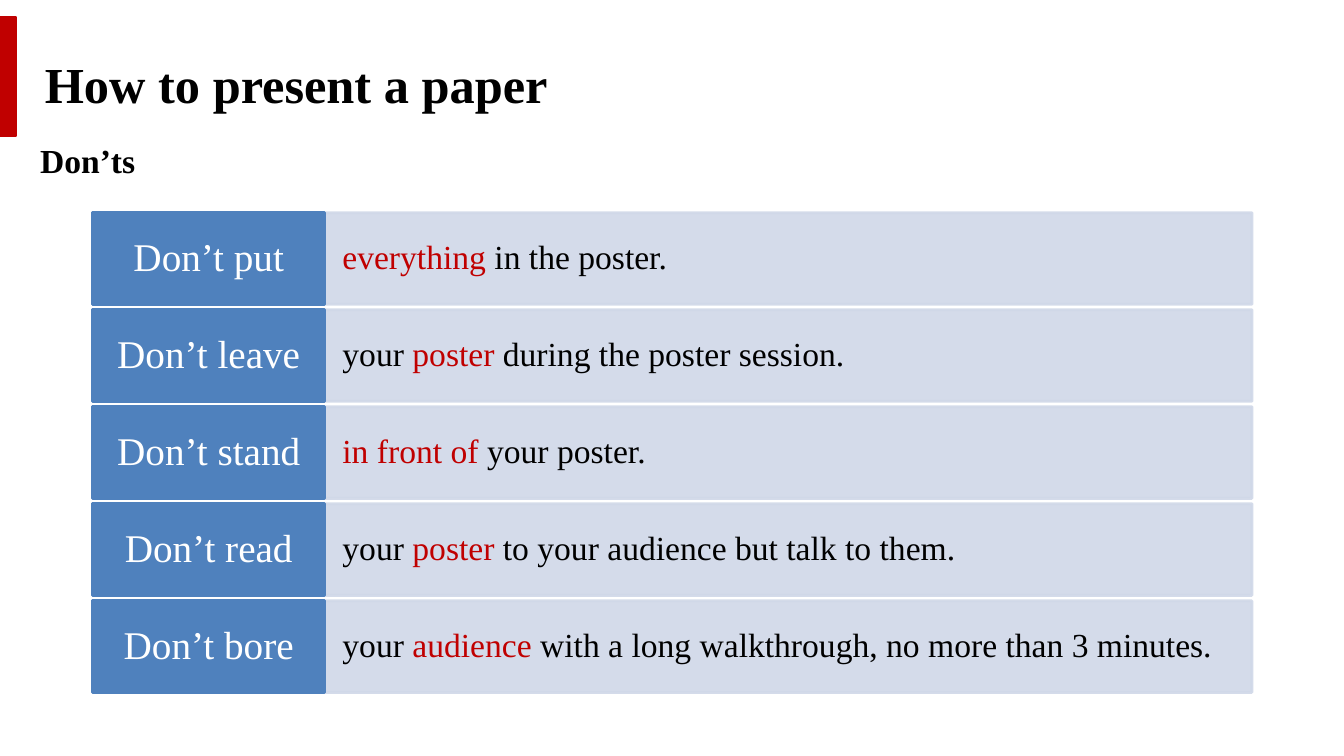
from lxml import etree
from pptx import Presentation
from pptx.dml.color import RGBColor
from pptx.enum.shapes import MSO_SHAPE
from pptx.enum.text import MSO_ANCHOR, MSO_AUTO_SIZE, PP_ALIGN
from pptx.oxml.ns import qn
from pptx.util import Cm, Pt

TITLE = "How to present a paper"
SUBTITLE = "Don’ts"
ROWS = [
    ("Don’t put", [("everything", True), (" in the poster.", False)]),
    ("Don’t leave", [("your ", False), ("poster", True), (" during the poster session.", False)]),
    ("Don’t stand", [("in front of ", True), ("your poster.", False)]),
    ("Don’t read", [("your ", False), ("poster", True), (" to your audience but talk to them.", False)]),
    ("Don’t bore", [("your ", False), ("audience", True),
                    (" with a long walkthrough, no more than 3 minutes.", False)]),
]

FONT = "Times New Roman"
RED = RGBColor(0xC0, 0x00, 0x00)
BLUE = RGBColor(0x4F, 0x81, 0xBD)
PALE = RGBColor(0xD0, 0xD8, 0xE8)
BLACK = RGBColor(0x00, 0x00, 0x00)
WHITE = RGBColor(0xFF, 0xFF, 0xFF)
RECTANGLE = MSO_SHAPE.RECTANGLE
TOP, MIDDLE = MSO_ANCHOR.TOP, MSO_ANCHOR.MIDDLE
LEFT, CENTER = PP_ALIGN.LEFT, PP_ALIGN.CENTER
NO_AUTOFIT = MSO_AUTO_SIZE.NONE

LABEL_LEFT, LABEL_WIDTH, DETAIL_WIDTH = 2.34, 5.84, 23.37
ROW_TOP, LAST_ROW_TOP, ROW_HEIGHT = 5.36, 15.14, 2.31
ROW_PITCH = (LAST_ROW_TOP - ROW_TOP) / (len(ROWS) - 1)


def write_text(shape, runs, size, alignment, anchor, margins, bold=False, line_spacing=None):
    """Fill a shape with one paragraph of (text, colour) runs."""
    frame = shape.text_frame
    frame.auto_size = NO_AUTOFIT
    frame.word_wrap = True
    frame.vertical_anchor = anchor
    horizontal, vertical = margins
    frame.margin_left = frame.margin_right = Cm(horizontal)
    frame.margin_top = frame.margin_bottom = Cm(vertical)
    paragraph = frame.paragraphs[0]
    paragraph.alignment = alignment
    paragraph.line_spacing = line_spacing
    for text, color in runs:
        run = paragraph.add_run()
        run.text = text
        run.font.name = FONT
        run.font.size = Pt(size)
        run.font.bold = bold
        run.font.color.rgb = color


def add_block(slide, left, top, width, height, color, line_width, opacity=None):
    """Add a rectangle with fill and outline in one colour."""
    shape = slide.shapes.add_shape(RECTANGLE, Cm(left), Cm(top), Cm(width), Cm(height))
    shape.shadow.inherit = False
    shape.fill.solid()
    shape.fill.fore_color.rgb = color
    shape.line.color.rgb = color
    shape.line.width = Pt(line_width)
    if opacity is not None:
        for color_element in shape.element.spPr.iter(qn("a:srgbClr")):
            etree.SubElement(color_element, qn("a:alpha"), val=str(opacity * 1000))
    return shape


def main():
    """Build the slide and save it."""
    presentation = Presentation()
    presentation.slide_width = Cm(33.87)
    presentation.slide_height = Cm(19.05)
    slide = presentation.slides.add_slide(presentation.slide_layouts[5])

    add_block(slide, 0, 0.43, 0.41, 3, RED, 1)

    title = slide.shapes.title
    title.left, title.top, title.width, title.height = Cm(1.13), Cm(1.27), Cm(23.18), Cm(1.57)
    write_text(title, [(TITLE, BLACK)], 36, LEFT, TOP, (0, 0.06), bold=True)

    subtitle = slide.shapes.add_textbox(Cm(0.76), Cm(3.4), Cm(16.94), Cm(1.27))
    write_text(subtitle, [(SUBTITLE, BLACK)], 24, LEFT, TOP, (0.25, 0.13), bold=True)

    for index, (label_text, detail_parts) in enumerate(ROWS):
        top = ROW_TOP + index * ROW_PITCH
        detail = add_block(slide, LABEL_LEFT + LABEL_WIDTH, top, DETAIL_WIDTH, ROW_HEIGHT, PALE, 2, opacity=90)
        detail_runs = [(text, RED if highlighted else BLACK) for text, highlighted in detail_parts]
        write_text(detail, detail_runs, 24, LEFT, MIDDLE, (0.45, 0.58), line_spacing=0.9)
        label = add_block(slide, LABEL_LEFT, top, LABEL_WIDTH, ROW_HEIGHT, BLUE, 2)
        write_text(label, [(label_text, WHITE)], 28, CENTER, MIDDLE, (0.3, 0.23), line_spacing=0.9)

    presentation.save("out.pptx")


if __name__ == "__main__":
    main()
